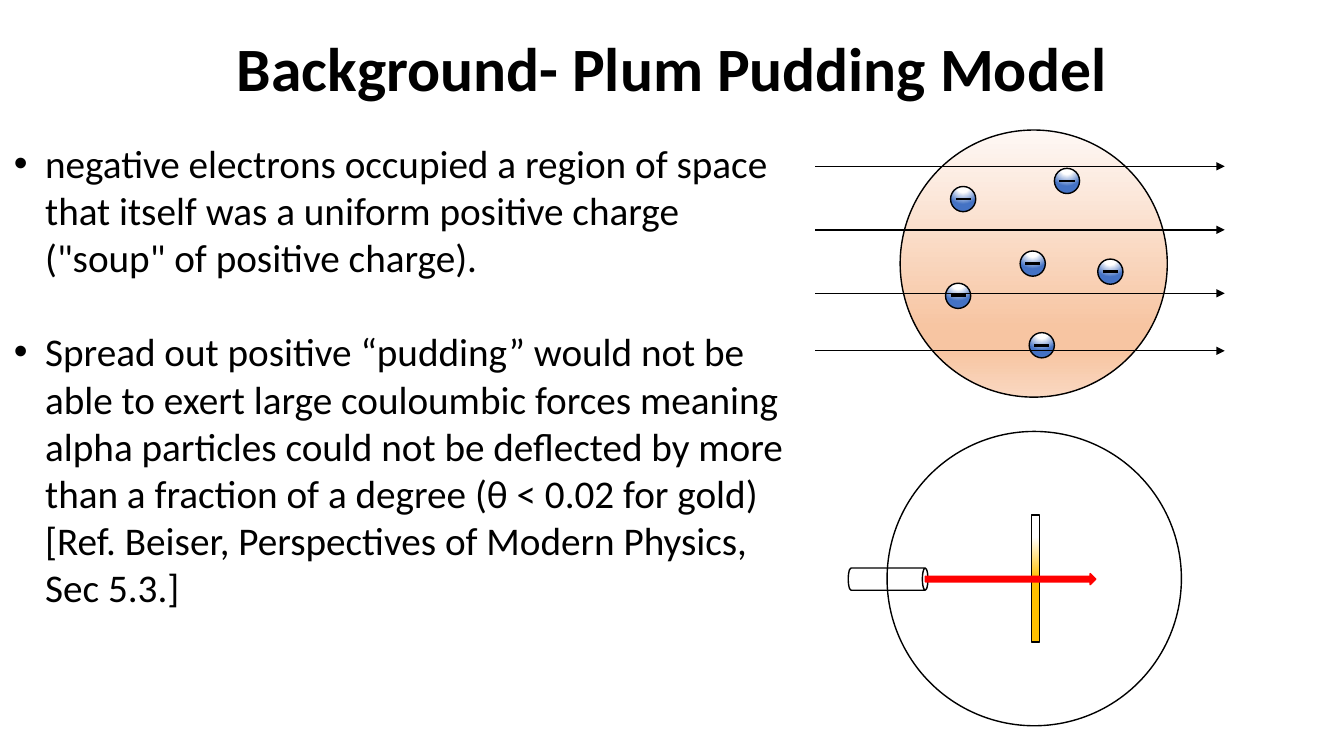
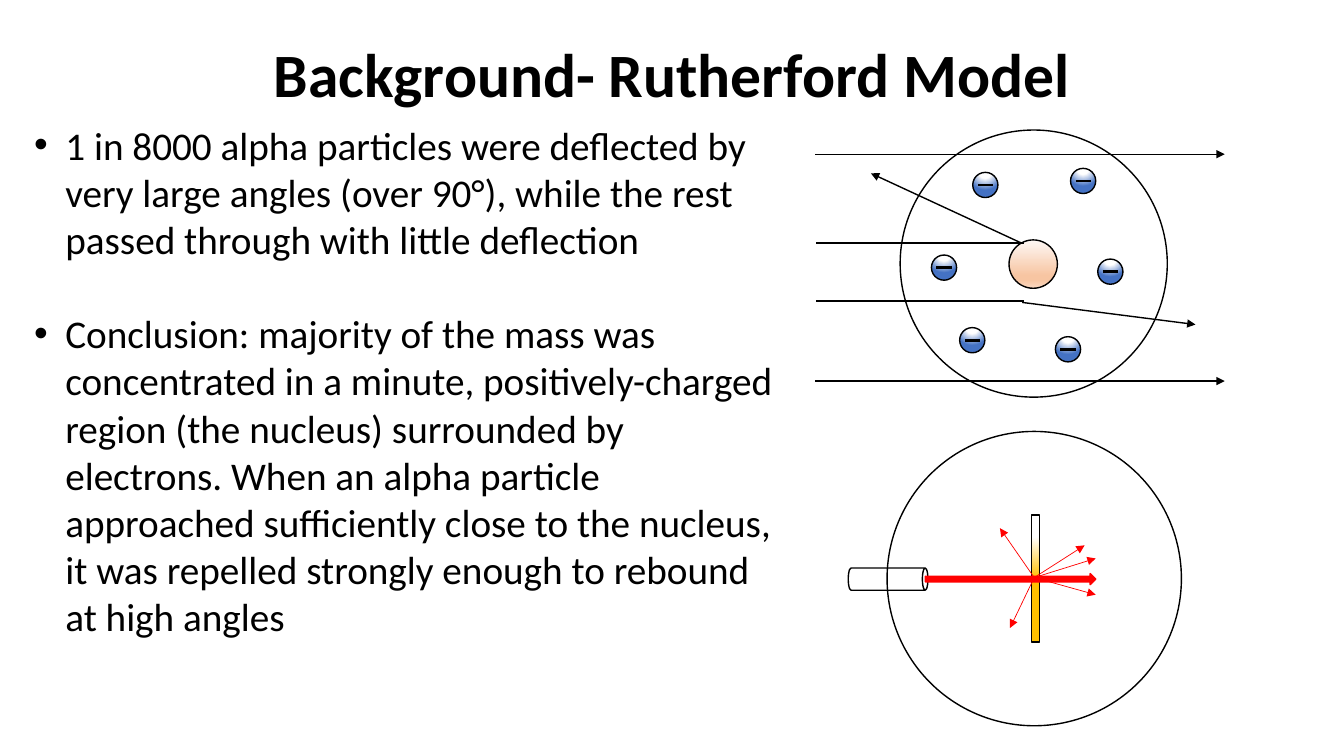
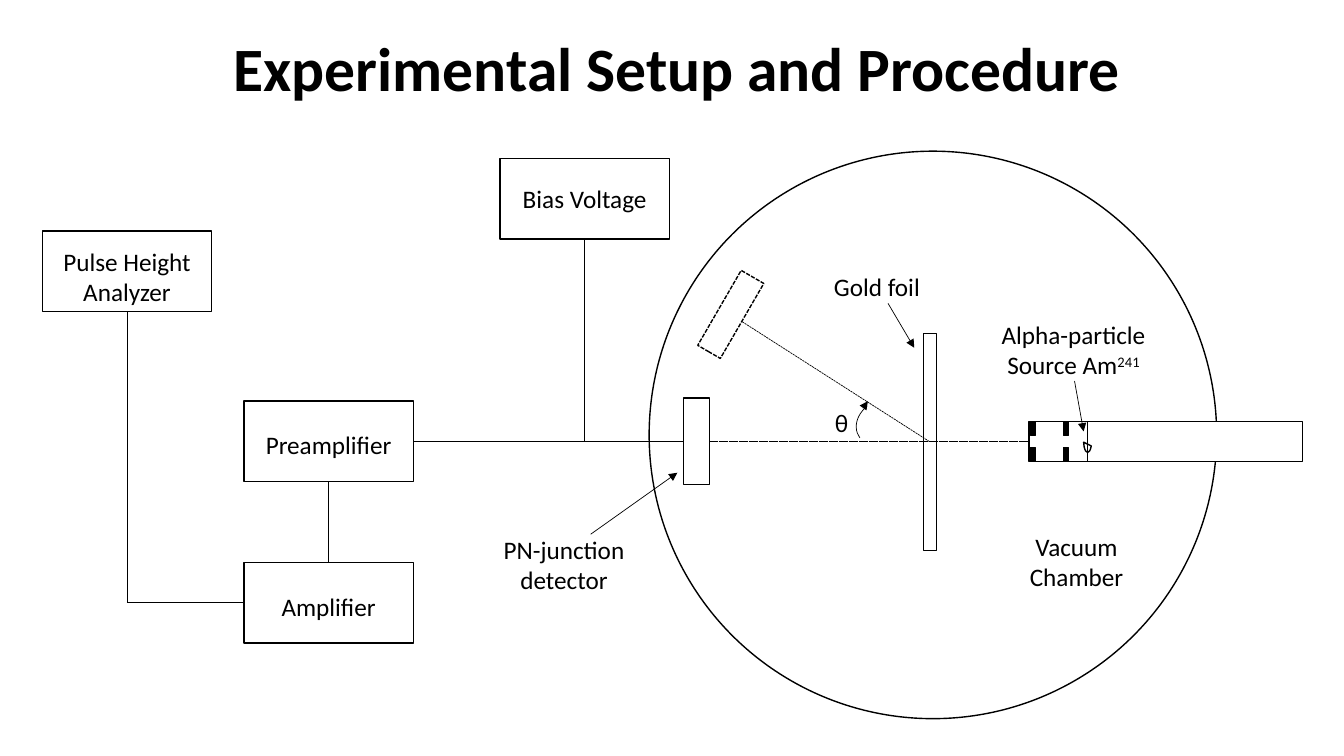
"""Build three slides on atomic models and the alpha scattering experiment."""
from collections import namedtuple

from lxml import etree
from pptx import Presentation
from pptx.dml.color import RGBColor
from pptx.enum.dml import MSO_LINE as Dash
from pptx.enum.shapes import MSO_CONNECTOR as Link, MSO_SHAPE as Kind
from pptx.enum.text import MSO_ANCHOR as Anchor, PP_ALIGN as Align
from pptx.oxml.ns import qn
from pptx.util import Inches, Pt

COLUMNS, ROWS = 133.33, 75
FONT = "Calibri"
BLACK = RGBColor(0x00, 0x00, 0x00)
WHITE = RGBColor(0xFF, 0xFF, 0xFF)
RED = RGBColor(0xFF, 0x00, 0x00)
GOLD = RGBColor(0xFF, 0xC0, 0x00)
BLUE = RGBColor(0x44, 0x72, 0xC4)
PEACH_PALE = RGBColor(0xFE, 0xF8, 0xF5)
PEACH = RGBColor(0xF7, 0xC5, 0xA2)
PEACH_LIGHT = RGBColor(0xFA, 0xD8, 0xC1)

Gradient = namedtuple("Gradient", "stops radial")
PUDDING = Gradient(((0, PEACH_PALE), (74, PEACH), (83, PEACH), (100, PEACH_LIGHT)), False)
ELECTRON, FOIL = (Gradient(((0, WHITE), (35, WHITE), (100, tint)), True) for tint in (BLUE, GOLD))

TOP, LEFT, BOTTOM, RIGHT = range(4)
ATOM = (89.3, 12.9, 26.5, 26.5)
RAY_START, RAY_END = 80.9, 121.5
AXIS = 43.8


def cells(*counts):
    """Turn grid cells, a tenth of an inch each, into lengths."""
    return [Inches(count / 10) for count in counts]


def paint_gradient(shape, gradient):
    """Fill a shape with a linear or radial gradient."""
    fill = etree.Element(qn("a:gradFill"), rotWithShape="1")
    stops = etree.SubElement(fill, qn("a:gsLst"))
    for share, color in gradient.stops:
        stop = etree.SubElement(stops, qn("a:gs"), pos=str(share * 1000))
        etree.SubElement(stop, qn("a:srgbClr"), val=str(color))
    if gradient.radial:
        spread = etree.SubElement(fill, qn("a:path"), path="circle")
        etree.SubElement(spread, qn("a:fillToRect"), l="50000", t="-80000", r="50000", b="180000")
    else:
        etree.SubElement(fill, qn("a:lin"), ang="5400000", scaled="0")
    shape.fill.background()
    properties = shape._element.spPr
    properties.replace(properties.find(qn("a:noFill")), fill)


def add_part(slide, kind, area, fill=None, line=BLACK, width=1, turn=0, dash=None):
    """Add an outlined preset shape."""
    part = slide.shapes.add_shape(kind, *cells(*area))
    part.shadow.inherit = False
    part.rotation = turn
    if isinstance(fill, Gradient):
        paint_gradient(part, fill)
    elif fill is None:
        part.fill.background()
    else:
        part.fill.solid()
        part.fill.fore_color.rgb = fill
    part.line.color.rgb = line
    part.line.width = Pt(width)
    part.line.dash_style = dash
    return part


def add_line(slide, start, end, color=BLACK, width=1.0, arrow=False, dash=None):
    """Add a line between points or (shape, side) joints."""
    joints = [point if hasattr(point[0], "shape_id") else None for point in (start, end)]
    places = [(0, 0) if joint else point for joint, point in zip(joints, (start, end))]
    line = slide.shapes.add_connector(Link.STRAIGHT, *cells(*places[0], *places[1]))
    if joints[0]:
        line.begin_connect(*joints[0])
    if joints[1]:
        line.end_connect(*joints[1])
    line.line.color.rgb = color
    line.line.width = Pt(width)
    line.line.dash_style = dash
    properties = line._element.spPr
    if arrow:
        etree.SubElement(properties.get_or_add_ln(), qn("a:tailEnd"), type="triangle")
    etree.SubElement(properties, qn("a:effectLst"))


def set_bullet(paragraph):
    """Give a paragraph a hanging round bullet."""
    properties = paragraph._p.get_or_add_pPr()
    indent = Inches(0.31)
    properties.set("marL", str(indent))
    properties.set("indent", str(-indent))
    etree.SubElement(properties, qn("a:buFont"), typeface="Arial")
    etree.SubElement(properties, qn("a:buChar"), char="•")


def write(frame, lines, size=18, bold=False, align=Align.CENTER, anchor=Anchor.TOP,
          wrap=False, spacing=None, gap=0, bullets=False):
    """Write lines into a frame; text after ^ is raised."""
    frame.word_wrap = wrap
    frame.vertical_anchor = anchor
    for index, content in enumerate(lines):
        paragraph = frame.add_paragraph() if index else frame.paragraphs[0]
        paragraph.alignment = align
        paragraph.line_spacing = spacing
        if index and gap:
            paragraph.space_before = Pt(gap)
        if bullets:
            set_bullet(paragraph)
        base, _, power = content.partition("^")
        for words, raised in ((base, False), (power, True)):
            if words:
                run = paragraph.add_run()
                run.text = words
                run.font.name, run.font.size, run.font.bold = FONT, Pt(size), bold
                run.font.color.rgb = BLACK
                if raised:
                    run.font._element.set("baseline", "30000")


def add_text(slide, area, lines, **style):
    """Add a text box."""
    write(slide.shapes.add_textbox(*cells(*area)).text_frame, lines, **style)


def add_slide(deck, title, left=9.2, top=0.0):
    """Add a blank slide with its title."""
    slide = deck.slides.add_slide(deck.slide_layouts[6])
    add_text(slide, (left, top, 115, 14.1), [title], size=44, bold=True,
             anchor=Anchor.MIDDLE, wrap=True, spacing=0.9)
    return slide


def add_points(slide, area, points):
    """Add the bulleted body text."""
    add_text(slide, area, points, size=28, align=Align.LEFT, wrap=True, gap=34, bullets=True)


def add_electrons(slide, corners):
    """Add electrons, each a ball with a minus sign."""
    for left, top in corners:
        add_part(slide, Kind.OVAL, (left, top, 2.5, 2.5), ELECTRON)
        add_line(slide, (left + 0.5, top + 1.25), (left + 2, top + 1.25), width=2)


def add_rays(slide, heights):
    """Add alpha rays that pass straight through the atom."""
    for height in heights:
        add_line(slide, (RAY_START, height), (RAY_END, height), arrow=True)


def add_apparatus(slide):
    """Add the chamber with foil, source and beam."""
    add_part(slide, Kind.OVAL, (88, 42.8, 29.2, 29.2), WHITE)
    add_part(slide, Kind.RECTANGLE, (102.3, 51.1, 0.8, 12.6), FOIL)
    add_part(slide, Kind.CAN, (87, 53.5, 2.2, 7.9), turn=90)
    add_part(slide, Kind.RIGHT_ARROW, (91.8, 56.9, 16.9, 1.1), RED, RED)


def build_plum_pudding(deck):
    """Show the plum pudding model."""
    slide = add_slide(deck, "Background- Plum Pudding Model")
    add_part(slide, Kind.OVAL, ATOM, PUDDING)
    add_electrons(slide, [(104.6, 16.7), (94.3, 18.5), (93.8, 28.1),
                          (101.2, 24.9), (108.9, 25.7), (102.1, 33)])
    add_apparatus(slide)
    add_rays(slide, (16.5, 22.8, 29.1, 34.8))
    add_points(slide, (0.4, 13.3, 80, 60.6), [
        "negative electrons occupied a region of space that itself was a uniform positive "
        "charge (\"soup\" of positive charge).",
        "Spread out positive “pudding” would not be able to exert large couloumbic forces "
        "meaning alpha particles could not be deflected by more than a fraction of a degree "
        "(θ < 0.02 for gold) [Ref. Beiser, Perspectives of Modern Physics, Sec 5.3.]"])


def build_rutherford(deck):
    """Show the Rutherford model."""
    slide = add_slide(deck, "Background- Rutherford Model", top=0.6)
    add_part(slide, Kind.OVAL, ATOM)
    add_electrons(slide, [(106.2, 16.7), (96.5, 17.1), (95.2, 32.5),
                          (92.4, 25.3), (108.9, 25.7), (104.7, 33.4)])
    add_apparatus(slide)
    add_part(slide, Kind.OVAL, (100.1, 23.8, 4.8, 4.8), PUDDING)
    add_rays(slide, (15.3, 37.8))
    for height, bend, end in ((24.1, (101.3, 24.1), (86.4, 17.2)),
                              (29.9, (101.4, 30), (118.6, 32.2))):
        add_line(slide, (81, height), (101.6, height), width=1.25)
        add_line(slide, bend, end, arrow=True)
    for end in ((108.7, 55.4), (107.6, 54.1), (100.2, 62.3), (99.2, 52.4), (108.7, 59)):
        add_line(slide, (102.6, 57.3), end, RED, 0.5, arrow=True)
    add_points(slide, (2.4, 11.5, 76.2, 52.8), [
        "1 in 8000 alpha particles were deflected by very large angles (over 90°), while the "
        "rest passed through with little deflection",
        "Conclusion: majority of the mass was concentrated in a minute, positively-charged "
        "region (the nucleus) surrounded by electrons. When an alpha particle approached "
        "sufficiently close to the nucleus, it was repelled strongly enough to rebound at "
        "high angles"])


def add_instrument(slide, left, top, lines, drop=0.0):
    """Add a labelled instrument box, its text lowered by a drop."""
    box = add_part(slide, Kind.RECTANGLE, (left, top, 16.8, 8))
    write(box.text_frame, lines, anchor=Anchor.MIDDLE)
    box.text_frame.margin_top = Inches(0.05 + drop / 5)
    return box


def add_source(slide):
    """Add the alpha source with its collimators."""
    source = add_part(slide, Kind.RECTANGLE, (102.1, 41.8, 27.1, 4), WHITE)
    for left in (102.2, 105.5):
        for top in (41.8, 44.4):
            add_part(slide, Kind.RECTANGLE, (left, top, 0.5, 1.4), BLACK)
    add_line(slide, (107.9, 41.8), (107.9, 45.8), width=0.5)
    pellet = add_part(slide, Kind.CHORD, (107.5, 42.6, 0.8, 2.3))
    pellet.adjustments[0], pellet.adjustments[1] = 32.5, 97.2
    return source


def build_setup(deck):
    """Show the experimental setup."""
    slide = add_slide(deck, "Experimental Setup and Procedure", left=9.7)
    add_part(slide, Kind.OVAL, (64.4, 15, 56.3, 56.3), WHITE)
    source = add_source(slide)
    add_part(slide, Kind.RECTANGLE, (91.6, 33.1, 1.3, 21.5))
    detector = add_part(slide, Kind.RECTANGLE, (67.8, 39.5, 2.6, 8.6))
    add_part(slide, Kind.RECTANGLE, (71.2, 26.9, 2.6, 8.6), turn=30.1, dash=Dash.SQUARE_DOT)

    bias = add_instrument(slide, 49.6, 15.7, ["Bias Voltage"])
    preamplifier = add_instrument(slide, 24.2, 39.8, ["Preamplifier"], 0.3)
    amplifier = add_instrument(slide, 24.2, 55.8, ["Amplifier"], 0.4)
    analyzer = add_instrument(slide, 4.2, 22.9, ["Pulse Height", "Analyzer"], 0.5)

    junction, corner = (58, AXIS), (12.6, 59.8)
    for start, end in ((junction, (bias, BOTTOM)), (junction, (detector, LEFT)),
                       ((preamplifier, RIGHT), junction),
                       ((amplifier, TOP), (preamplifier, BOTTOM)),
                       (corner, (amplifier, LEFT)), (corner, (analyzer, BOTTOM))):
        add_line(slide, start, end, width=0.5)
    add_line(slide, (detector, RIGHT), (source, LEFT), width=0.2, dash=Dash.SQUARE_DOT)
    add_line(slide, (92.2, AXIS), (73.6, 31.9), width=0.5, dash=Dash.SQUARE_DOT)

    add_part(slide, Kind.ARC, (85.2, 39.5, 4.1, 4.9), width=0.5, turn=232.7)
    add_line(slide, (85.6, 40.5), (86.1, 39.8), width=0.2, arrow=True)
    for start, end in (((58.6, 53), (67.2, 46.9)), ((88.1, 30.1), (90.7, 34.5)),
                       ((106.6, 37.8), (107.5, 42.8))):
        add_line(slide, start, end, width=0.5, arrow=True)
    for left, top, width, lines in (
            (48.9, 52.5, 14.1, ["PN-junction", "detector"]),
            (81.7, 26.4, 10.6, ["Gold foil"]),
            (98, 31.2, 17, ["Alpha-particle", "Source Am^241"]),
            (101.1, 52.2, 11.4, ["Vacuum", "Chamber"]),
            (81.8, 39.9, 3.4, ["θ"])):
        add_text(slide, (left, top, width, 1 + 3 * len(lines)), lines)


def main():
    """Build and save the deck."""
    deck = Presentation()
    deck.slide_width, deck.slide_height = cells(COLUMNS, ROWS)
    build_plum_pudding(deck)
    build_rutherford(deck)
    build_setup(deck)
    deck.save("out.pptx")


if __name__ == "__main__":
    main()
